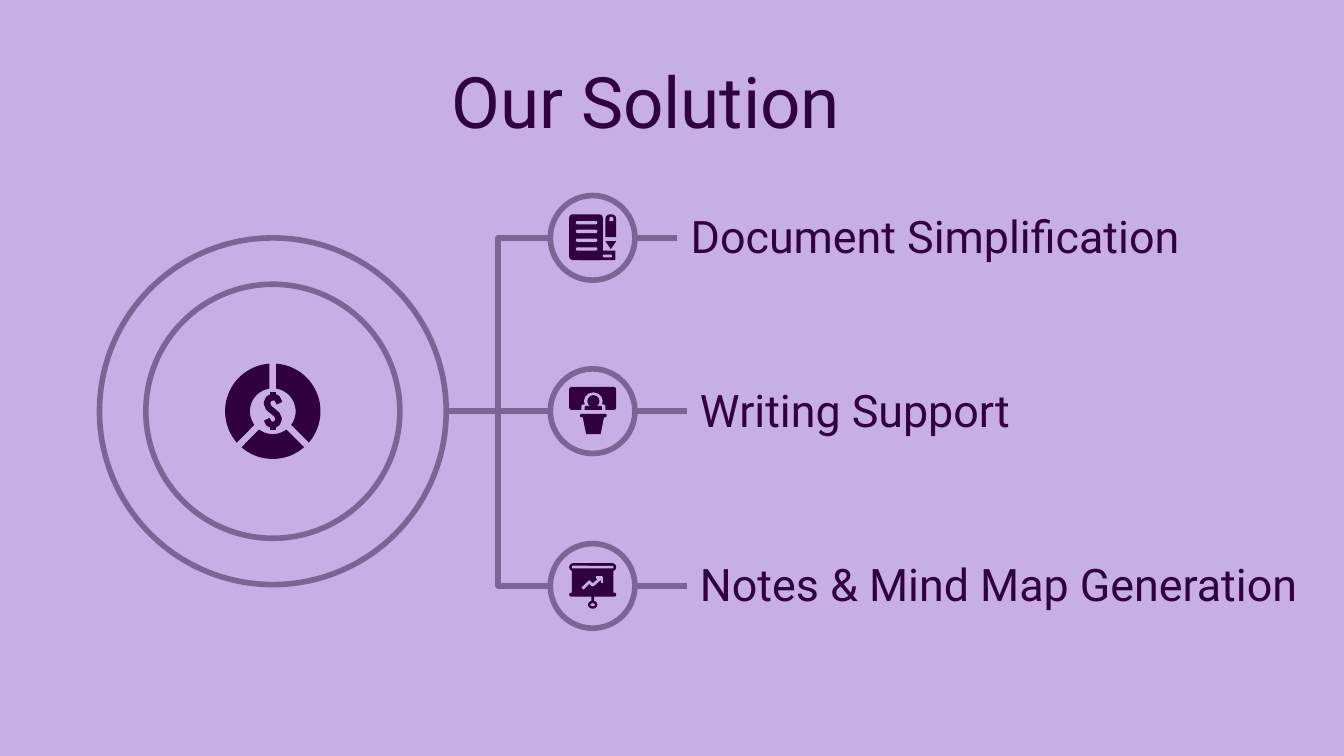
import math
from lxml import etree
from pptx import Presentation
from pptx.dml.color import RGBColor
from pptx.enum import shapes, text
from pptx.oxml.ns import qn
from pptx.util import Inches, Pt

THEME = {"back": "C7AEE4", "ring": "7E6395", "ink": "310041",
         "font": "Roboto", "title": 38, "label": 24, "line": 3}
KIND = shapes.MSO_SHAPE
SLIDE_WIDTH = Inches(10)
SLIDE_HEIGHT = SLIDE_WIDTH * 9 // 16

TITLE = ("Our Solution", (3.26, 0.33, 6.16, 0.63))
HUB = (2.03, 3.06)
HUB_DIAMETERS = (2.58, 1.89)
NODE_X, NODE_SIZE = 4.41, 0.63
BRANCH_START = 3.32

# Icon parts: kind, colour, then left, top, width, height in hundredths of an inch.
DOCUMENT = [
    ("round", "ink", -17.5, -17.5, 25, 34), ("round", "ink", -10, 9.5, 27, 7),
    *[("pill", "back", -12.5, -12.5 + 6.5 * row, 16, 2.5) for row in range(4)],
    ("pill", "back", 7.5, 12.5, 7, 2),
    ("dome", "ink", 9.5, -17.5, 8, 17), ("dome", "back", 12.5, -15.5, 3, 3),
    ("point", "ink", 9.5, 2.5, 8, 6),
]
SPEAKER = [
    ("round", "ink", -17.5, -18, 35, 17), ("oval", "back", -6.5, -14, 14, 13),
    ("dome", "back", -8.5, -5, 18, 4), ("oval", "ink", -4, -12, 9, 9),
    ("dome", "ink", -6, -4, 13, 3), ("pill", "ink", -9.5, 2, 20, 2.5),
    ("cup", "ink", -7.5, 4, 16, 13),
]
BOARD = [
    ("pill", "ink", -17.5, -17, 35, 6), ("pill", "back", -15.5, -15, 31, 2),
    ("box", "ink", -15.5, -11.5, 31, 17), ("pill", "ink", -17.5, 5, 35, 3),
    ("box", "ink", -1, 7.5, 2, 4), ("ring", "ink", -3.5, 11, 7, 6),
]
TREND = [
    [(-7.5, 2), (-2.5, -3), (0, -0.5), (7, -6.5)],
    [(2.5, -6.5), (7, -6.5), (7, -2)],
]
DOLLAR = [
    [(5, -6), (3, -10), (0, -10.5), (-3, -9.5), (-4.5, -6), (-3, -2.5), (0, 0),
     (3, 2.5), (4.5, 6), (3, 9), (0, 10.5), (-3, 9), (-4.5, 6)],
    [(0, -14), (0, -11)],
    [(0, 11), (0, 14)],
]
PART_KINDS = {
    "round": (KIND.ROUNDED_RECTANGLE, 0.1, 0), "pill": (KIND.ROUNDED_RECTANGLE, 0.5, 0),
    "dome": (KIND.ROUND_2_SAME_RECTANGLE, 0.4, 0), "point": (KIND.FLOWCHART_MERGE, None, 0),
    "oval": (KIND.OVAL, None, 0), "box": (KIND.RECTANGLE, None, 0),
    "cup": (KIND.TRAPEZOID, 0.2, 180), "ring": (KIND.DONUT, 0.3, 0),
}
NODES = [
    ("Document Simplification", 1.77, 5.04, 4.31, DOCUMENT, []),
    ("Writing Support", 3.06, 5.11, 3.69, SPEAKER, []),
    ("Notes & Mind Map Generation", 4.36, 5.11, 4.97, BOARD, TREND),
]


def color(name):
    return RGBColor.from_string(THEME[name])


def assign(target, values):
    for name, value in values.items():
        setattr(target, name, value)


def paint(shape, fill=None, line=None, width=THEME["line"]):
    shape.shadow.inherit = False
    if fill:
        shape.fill.solid()
        shape.fill.fore_color.rgb = color(fill)
    else:
        shape.fill.background()
    if line:
        shape.line.color.rgb = color(line)
        shape.line.width = Pt(width)
    else:
        shape.line.fill.background()


def add_circle(slide, x, y, diameter):
    corner = (Inches(x - diameter / 2), Inches(y - diameter / 2))
    circle = slide.shapes.add_shape(KIND.OVAL, *corner, Inches(diameter), Inches(diameter))
    paint(circle, line="ring")


def add_link(slide, kind, start, end):
    link = slide.shapes.add_connector(kind, *map(Inches, start + end))
    link.line.color.rgb = color("ring")
    link.line.width = Pt(THEME["line"])
    etree.SubElement(link._element.spPr, qn("a:effectLst"))


def add_outline(slide, center, points, closed):
    placed = [(Inches(center[0] + x / 100), Inches(center[1] + y / 100)) for x, y in points]
    builder = slide.shapes.build_freeform(*placed[0])
    builder.add_line_segments(placed[1:], close=closed)
    return builder.convert_to_shape()


def add_strokes(slide, center, strokes, line, width):
    for points in strokes:
        paint(add_outline(slide, center, points, False), line=line, width=width)


def add_icon(slide, center, parts):
    for name, fill, left, top, width, height in parts:
        kind, adjustment, rotation = PART_KINDS[name]
        part = slide.shapes.add_shape(
            kind, Inches(center[0] + left / 100), Inches(center[1] + top / 100),
            Inches(width / 100), Inches(height / 100))
        if adjustment is not None:
            part.adjustments[0] = adjustment
        part.rotation = rotation
        paint(part, fill)


def add_donut(slide, outer=35.5, inner=17, half_gap=2.5, steps=30):
    for start, end in ((-90, 45), (45, 135), (135, 270)):
        points = []
        for radius, order in ((outer, range(steps + 1)), (inner, range(steps, -1, -1))):
            trim = math.asin(half_gap / radius)
            first, last = math.radians(start) + trim, math.radians(end) - trim
            for step in order:
                angle = first + (last - first) * step / steps
                points.append((radius * math.cos(angle), radius * math.sin(angle)))
        paint(add_outline(slide, HUB, points, True), "ink")


def write(shape, words, size):
    frame = shape.text_frame
    margins = {f"margin_{side}": Inches(0.1) for side in ("left", "right", "top", "bottom")}
    assign(frame, {"word_wrap": True, "auto_size": text.MSO_AUTO_SIZE.NONE,
                   "vertical_anchor": text.MSO_ANCHOR.TOP, **margins})
    paragraph = frame.paragraphs[0]
    paragraph.alignment = text.PP_ALIGN.LEFT
    run = paragraph.add_run()
    run.text = words
    assign(run.font, {"name": THEME["font"], "size": Pt(THEME[size])})
    run.font.color.rgb = color("ink")


def add_node(slide, words, y, label_left, label_width, parts, strokes):
    radius = NODE_SIZE / 2
    straight, elbow = shapes.MSO_CONNECTOR.STRAIGHT, shapes.MSO_CONNECTOR.ELBOW
    add_link(slide, elbow, (NODE_X - radius, y), (BRANCH_START, HUB[1]))
    add_link(slide, straight, (NODE_X + radius, y), (label_left, y))
    add_circle(slide, NODE_X, y, NODE_SIZE)
    add_icon(slide, (NODE_X, y), parts)
    add_strokes(slide, (NODE_X, y), strokes, "back", 1.5)
    label = slide.shapes.add_textbox(
        *map(Inches, (label_left, y - radius, label_width, NODE_SIZE)))
    write(label, words, "label")


def main():
    presentation = Presentation()
    assign(presentation, {"slide_width": SLIDE_WIDTH, "slide_height": SLIDE_HEIGHT})
    slide = presentation.slides.add_slide(presentation.slide_layouts[5])
    slide.background.fill.solid()
    slide.background.fill.fore_color.rgb = color("back")

    words, box = TITLE
    title = slide.shapes.title
    assign(title, dict(zip(("left", "top", "width", "height"), map(Inches, box))))
    write(title, words, "title")

    for diameter in HUB_DIAMETERS:
        add_circle(slide, *HUB, diameter)
    add_donut(slide)
    add_strokes(slide, HUB, DOLLAR, "ink", 3.4)
    for node in NODES:
        add_node(slide, *node)
    presentation.save("out.pptx")


if __name__ == "__main__":
    main()
